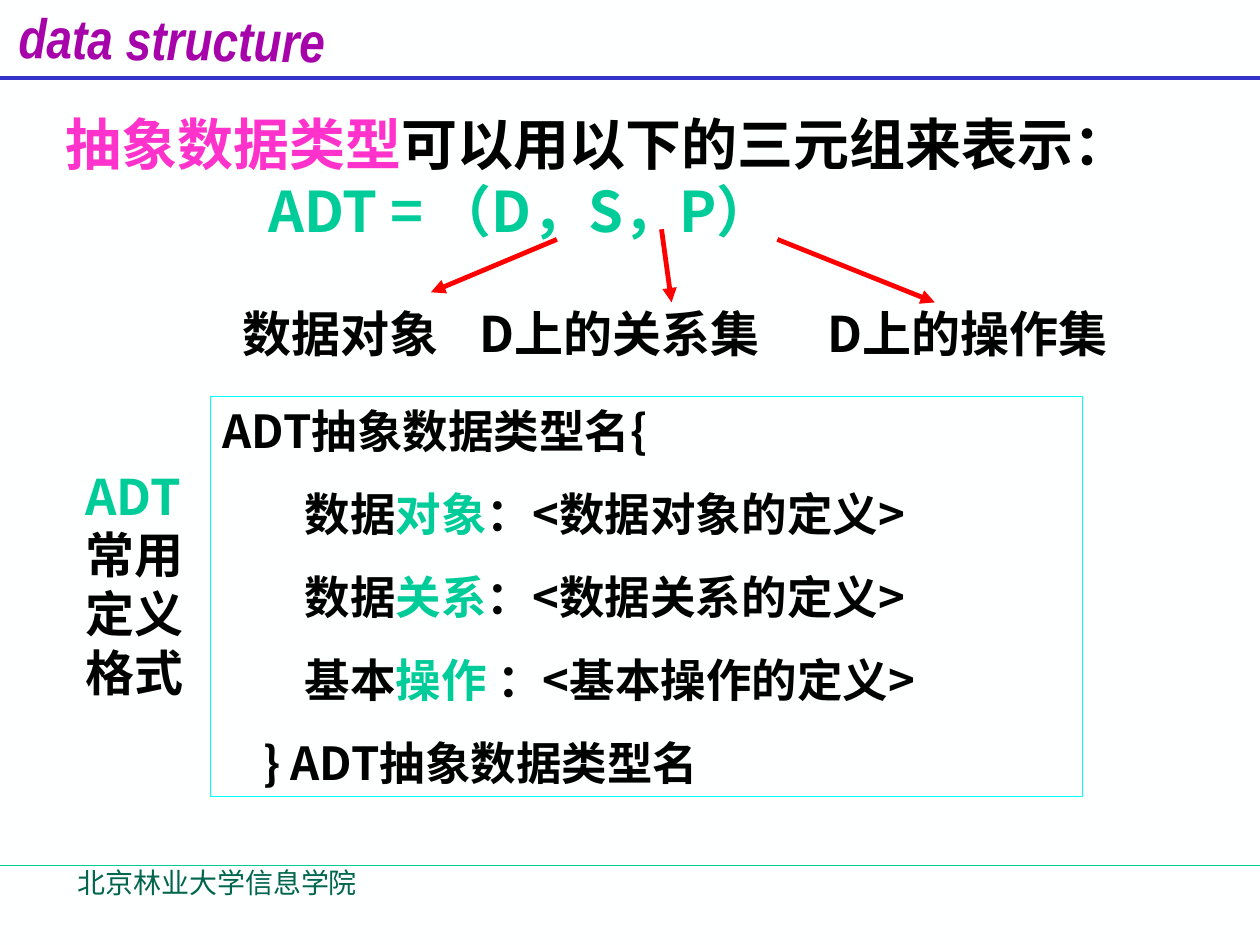
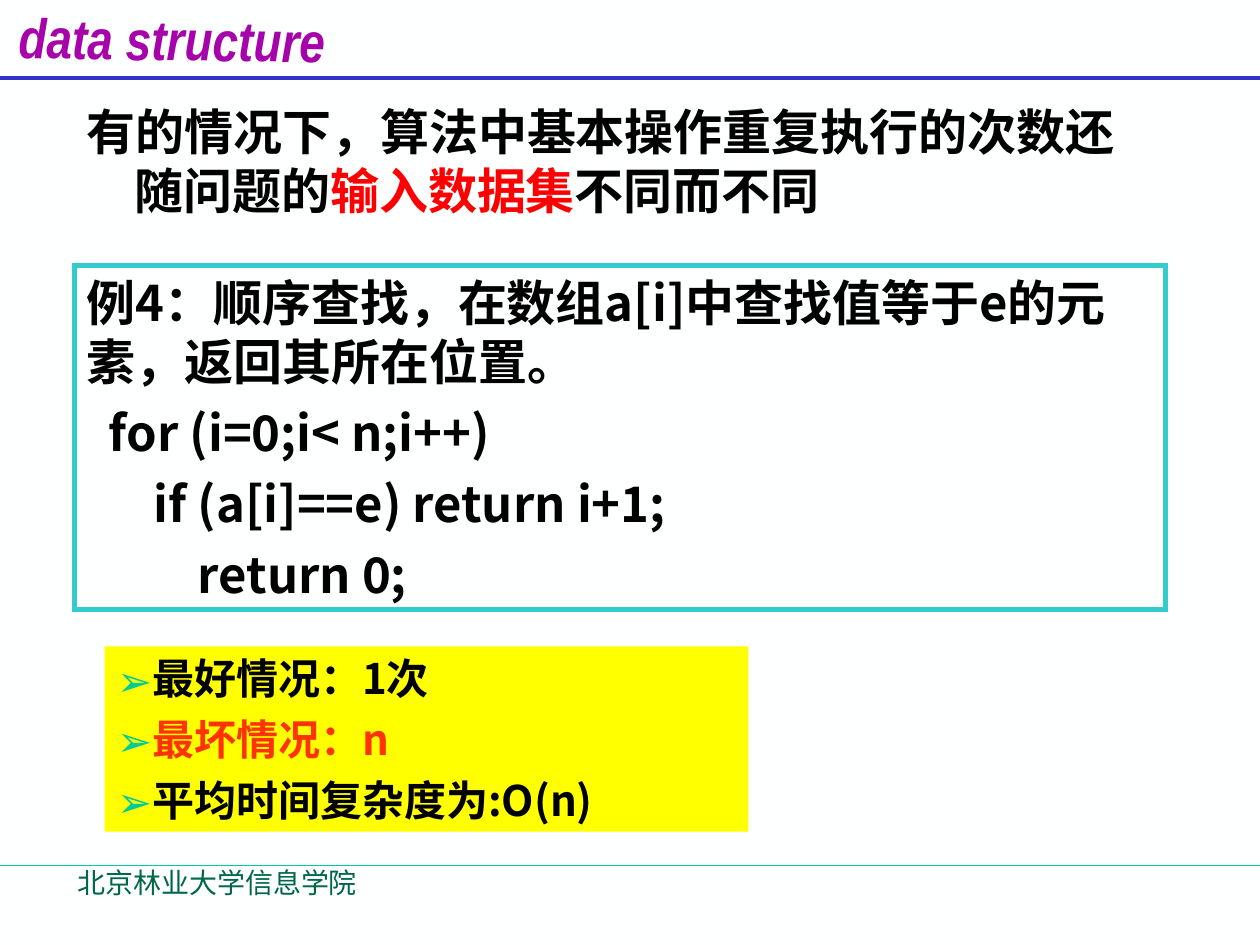
from pptx import Presentation
from pptx.dml.color import RGBColor as Rgb
from pptx.enum.shapes import MSO_CONNECTOR as Link, MSO_SHAPE as Form
from pptx.enum.text import MSO_ANCHOR as Anchor
from pptx.oxml.ns import qn
from pptx.util import Inches, Pt
from lxml.etree import SubElement as Sub

PAPER = Rgb(0xFE, 0xFF, 0xFF)
BLACK = Rgb(0x00, 0x00, 0x00)
GREEN = Rgb(0x00, 0xCC, 0x99)
BLUE = Rgb(0x33, 0x33, 0xCC)
PURPLE = Rgb(0xA6, 0x03, 0xAB)
FOREST = Rgb(0x00, 0x66, 0x4D)
PINK = Rgb(0xFF, 0x33, 0xCC)
RED = Rgb(0xFF, 0x00, 0x00)
ORANGE = Rgb(0xFF, 0x33, 0x00)
CYAN = Rgb(0x00, 0xFF, 0xFF)
TEAL = Rgb(0x33, 0xCC, 0xCC)
YELLOW = Rgb(0xFF, 0xFF, 0x00)

SANS = "Noto Sans CJK SC"
NARROW = "Arial Narrow"


class Deck:
    def __init__(self):
        self.prs = Presentation()
        self.prs.slide_width = Inches(10)
        self.prs.slide_height = Inches(7.5)
        self.slide = None

    def page(self):
        self.slide = self.prs.slides.add_slide(self.prs.slide_layouts[6])
        fill = self.slide.background.fill
        fill.solid()
        fill.fore_color.rgb = PAPER
        self.line((0, 6.87), (10, 6.87), GREEN, 0.75)
        self.line((0, 0.62), (10, 0.62), BLUE, 2.25)
        head = self.text((0.05, -0.01, 2.9, 0.54))
        head.rotation = 0.8
        self.para(head, [("data structure", PURPLE)], 32, font=NARROW, italic=True)
        foot = self.text((0.52, 6.82, 4.14, 0.5))
        self.para(foot, [("北京林业大学信息学院", FOREST)], 16, bold=False)

    def line(self, start, end, color, width, arrow=False):
        ends = [Inches(v) for v in (*start, *end)]
        line = self.slide.shapes.add_connector(Link.STRAIGHT, *ends)
        line.line.color.rgb = color
        line.line.width = Pt(width)
        props = line._element.spPr
        if arrow:
            Sub(props.find(qn("a:ln")), qn("a:tailEnd"), type="triangle")
        Sub(props, qn("a:effectLst"))

    def text(self, at):
        box = self.slide.shapes.add_textbox(*map(Inches, at))
        box.text_frame.word_wrap = True
        return box

    def panel(self, at, edge=None, width=0.75, fill=None, anchor=Anchor.TOP):
        box = self.slide.shapes.add_shape(Form.RECTANGLE, *map(Inches, at))
        box.shadow.inherit = False
        if fill is None:
            box.fill.background()
        else:
            box.fill.solid()
            box.fill.fore_color.rgb = fill
        if edge is None:
            box.line.fill.background()
        else:
            box.line.color.rgb = edge
            box.line.width = Pt(width)
            Sub(box._element.spPr.find(qn("a:ln")), qn("a:miter"), lim="800000")
        box.text_frame.word_wrap = True
        box.text_frame.vertical_anchor = anchor
        return box

    def para(self, box, runs, size, gap=0, left=0, first=0,
             bullet=None, font=SANS, bold=True, italic=False):
        frame = box.text_frame
        para = frame.paragraphs[0]
        if para.runs:
            para = frame.add_paragraph()
            para.space_before = Pt(gap)
        props = para._p.get_or_add_pPr()
        props.set("algn", "l")
        props.set("marL", str(Inches(left)))
        props.set("indent", str(Inches(first)))
        if bullet:
            tint = Sub(props, qn("a:buClr"))
            Sub(tint, qn("a:srgbClr"), val=str(GREEN))
            Sub(props, qn("a:buFont"), typeface=font)
            Sub(props, qn("a:buChar"), char=bullet)
        for words, color in runs:
            run = para.add_run()
            run.text = words
            run.font.size = Pt(size)
            run.font.name = font
            run.font.bold = bold
            run.font.italic = italic
            run.font.color.rgb = color
            Sub(run._r.get_or_add_rPr(), qn("a:ea"), typeface=font)


def triple(deck):
    deck.page()
    intro = deck.text((0.42, 0.82, 9.17, 1.2))
    deck.para(intro, [("抽象数据类型", PINK), ("可以用以下的三元组来表示：", BLACK)], 32)
    deck.para(intro, [("ADT = （D，S，P）", GREEN)], 32, first=1.61)
    for left, name in ((1.83, "数据对象"), (3.71, "D上的关系集"),
                       (6.47, "D上的操作集")):
        part = deck.text((left, 2.36, 2.7, 0.57))
        deck.para(part, [(name, BLACK)], 28)

    form = deck.panel((1.67, 3.15, 6.92, 3.17), CYAN)
    deck.para(form, [("ADT抽象数据类型名{", BLACK)], 26)
    for kind, part, colon in (("数据", "对象", "："), ("数据", "关系", "："),
                              ("基本", "操作", " ：")):
        runs = [(kind, BLACK), (part, GREEN), (f"{colon}<{kind}{part}的定义>", BLACK)]
        deck.para(form, runs, 26, gap=16.2, first=0.65)
    deck.para(form, [("} ADT抽象数据类型名", BLACK)], 26, gap=16.2, first=0.32)

    label = deck.text((0.58, 3.65, 1.08, 1.97))
    deck.para(label, [("ADT", GREEN), ("常用定义格式", BLACK)], 28)

    for start, end in (((4.42, 1.9), (3.42, 2.32)), ((5.25, 1.82), (5.33, 2.4)),
                       ((6.17, 1.9), (7.42, 2.4))):
        deck.line(start, end, RED, 2.75, arrow=True)


def search(deck):
    deck.page()
    code = deck.panel((0.59, 2.11, 8.66, 2.73), TEAL, 3, anchor=Anchor.MIDDLE)
    for row in ("例4：顺序查找，在数组a[i]中查找值等于e的元素，返回其所在位置。",
                "  for (i=0;i< n;i++)",
                "      if (a[i]==e) return i+1;",
                "          return 0;"):
        deck.para(code, [(row, BLACK)], 28, gap=7)

    intro = deck.text((0.59, 0.76, 8.66, 1.04))
    runs = [("有的情况下，算法中基本操作重复执行的次数还随问题的", BLACK),
            ("输入数据集", RED), ("不同而不同", BLACK)]
    deck.para(intro, runs, 28, left=0.38, first=-0.38)

    cases = deck.panel((0.83, 5.13, 5.11, 1.47), fill=YELLOW)
    for row, color in (("最好情况：1次", BLACK), ("最坏情况：n", ORANGE),
                       ("平均时间复杂度为:O(n)", BLACK)):
        deck.para(cases, [(row, color)], 24, gap=6, bullet="➢")


def main():
    deck = Deck()
    triple(deck)
    search(deck)
    deck.prs.save("out.pptx")


if __name__ == "__main__":
    main()
